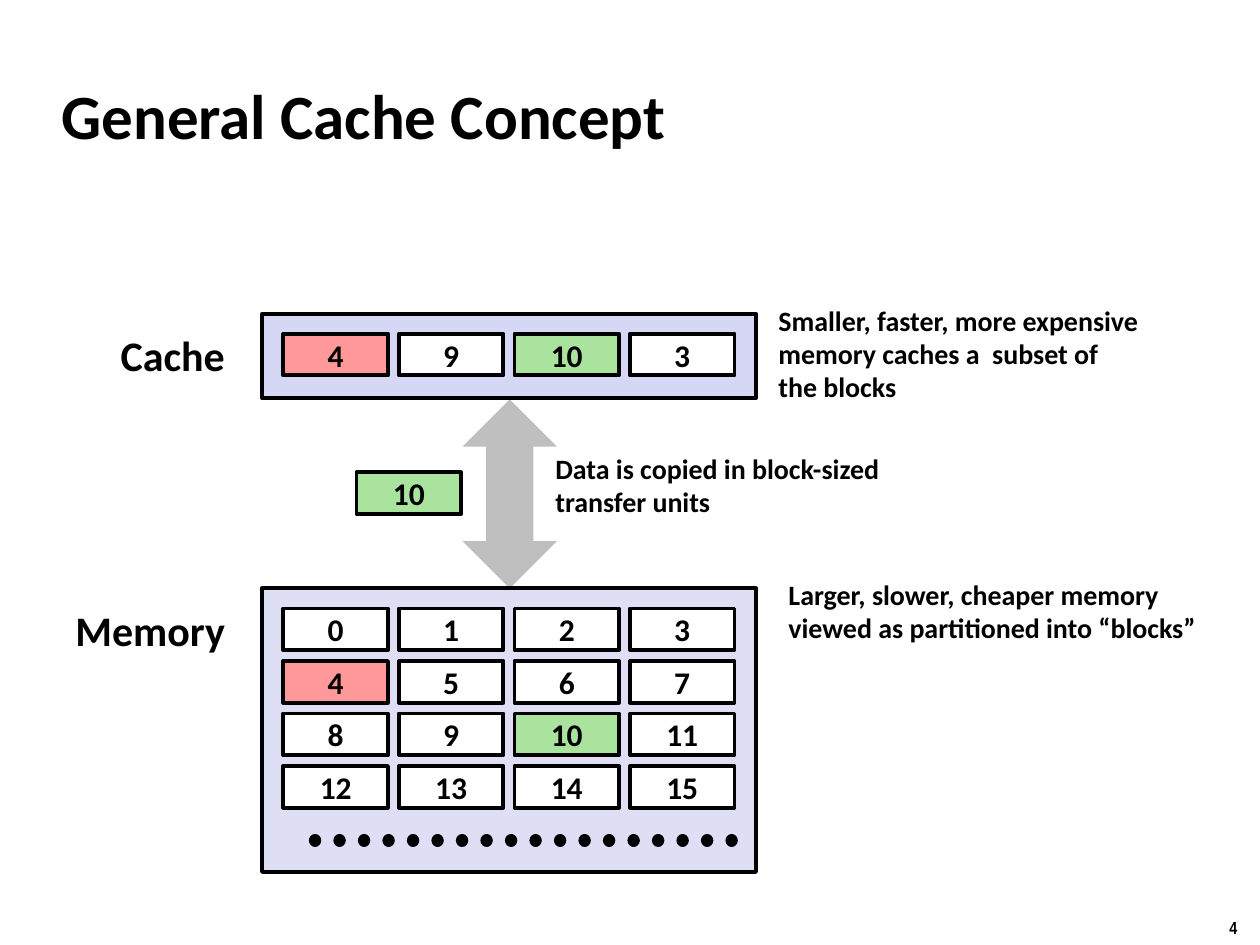
from lxml.etree import SubElement
from pptx import Presentation
from pptx.dml.color import RGBColor
from pptx.enum.dml import MSO_LINE
from pptx.enum.shapes import MSO_CONNECTOR, MSO_SHAPE
from pptx.enum.text import MSO_ANCHOR, PP_ALIGN
from pptx.oxml.ns import qn
from pptx.util import Inches, Pt

COLORS = {
    "ink": "000000", "white": "FFFFFF", "arrow": "BFBFBF",
    "cache": "D6D6F5", "memory": "DEDFF5", "red": "FF9999", "green": "A9E39D",
}
HIGHLIGHTS = {4: "red", 10: "green"}
BLOCK_W, BLOCK_H = 0.83, 0.33
COL_STEP, ROW_STEP = 11 / 12, 5 / 12
GRID_LEFT = 2.25


def rgb(name):
    return RGBColor.from_string(COLORS[name])


class SlideBuilder:
    font = "Calibri"
    border = 2.25

    def __init__(self, slide):
        self.slide = slide

    def fill_text(self, tf, lines, size, font=None, **paragraph_format):
        values = {"name": font or self.font, "size": Pt(size), "bold": True}
        for i, line in enumerate(lines):
            p = tf.paragraphs[0] if i == 0 else tf.add_paragraph()
            for key, value in paragraph_format.items():
                setattr(p, key, value)
            r = p.add_run()
            r.text = line
            for key, value in values.items():
                setattr(r.font, key, value)
            r.font.color.rgb = rgb("ink")

    def text(self, box, lines, size, font=None, wrap=False,
             anchor=MSO_ANCHOR.TOP, **paragraph_format):
        tf = self.slide.shapes.add_textbox(*map(Inches, box)).text_frame
        tf.word_wrap = wrap
        tf.vertical_anchor = anchor
        self.fill_text(tf, lines, size, font, **paragraph_format)

    def note(self, box, lines, wrap=False):
        self.text(box, lines, 16, wrap=wrap, anchor=MSO_ANCHOR.MIDDLE,
                  line_spacing=0.98)

    def shape(self, kind, box, fill, outlined=True):
        sp = self.slide.shapes.add_shape(kind, *map(Inches, box))
        sp.shadow.inherit = False
        sp.fill.solid()
        sp.fill.fore_color.rgb = rgb(fill)
        if outlined:
            sp.line.color.rgb = rgb("ink")
            sp.line.width = Pt(self.border)
        else:
            sp.line.fill.background()
        return sp

    def block(self, left, top, number):
        sp = self.shape(MSO_SHAPE.RECTANGLE, (left, top, BLOCK_W, BLOCK_H),
                        HIGHLIGHTS.get(number, "white"))
        tf = sp.text_frame
        tf.vertical_anchor = MSO_ANCHOR.MIDDLE
        self.fill_text(tf, [str(number)], 18, alignment=PP_ALIGN.CENTER)

    def blocks(self, top, numbers):
        """Lay numbered blocks out in rows of four."""
        for i, number in enumerate(numbers):
            row, col = divmod(i, 4)
            self.block(GRID_LEFT + col * COL_STEP, top + row * ROW_STEP, number)

    def dots(self, left, right, y, width):
        line = self.slide.shapes.add_connector(
            MSO_CONNECTOR.STRAIGHT, *map(Inches, (left, y, right, y)))
        line.line.color.rgb = rgb("ink")
        line.line.width = Pt(width)
        line.line.dash_style = MSO_LINE.ROUND_DOT
        properties = line._element.spPr
        properties.find(qn("a:ln")).set("cap", "rnd")
        SubElement(properties, qn("a:effectLst"))


def main():
    prs = Presentation()
    prs.slide_width, prs.slide_height = Inches(10), Inches(7.5)
    s = SlideBuilder(prs.slides.add_slide(prs.slide_layouts[6]))

    s.text((0.39, 0.49, 8.3, 0.83), ["General Cache Concept"], 36,
           wrap=True, anchor=MSO_ANCHOR.MIDDLE)
    s.text((9.66, 7.23, 0.34, 0.27), ["4"], 10, font="Arial Narrow")

    s.shape(MSO_SHAPE.UP_DOWN_ARROW, (3.67, 3.17, 0.75, 1.5), "arrow",
            outlined=False)
    s.shape(MSO_SHAPE.RECTANGLE, (2.08, 2.49, 3.92, 0.67), "cache")
    s.shape(MSO_SHAPE.RECTANGLE, (2.08, 4.67, 3.92, 2.25), "memory")

    s.blocks(2.65, [4, 9, 10, 3])
    s.block(2.83, 3.75, 10)
    s.blocks(4.83, range(16))
    s.dots(2.5, 5.83, 6.67, 7)

    s.text((0.86, 2.57, 1.04, 0.5), ["Cache"], 24)
    s.text((0.5, 4.75, 1.4, 0.5), ["Memory"], 24)

    s.note((6.08, 2.37, 3.21, 0.89),
           ["Smaller, faster, more expensive", "memory caches a  subset of",
            "the blocks"])
    s.note((4.31, 3.54, 3.1, 0.63),
           ["Data is copied in block-sized transfer units"], wrap=True)
    s.note((6.16, 4.54, 3.5, 0.63),
           ["Larger, slower, cheaper memory",
            "viewed as partitioned into “blocks”"])

    prs.save("out.pptx")


if __name__ == "__main__":
    main()
